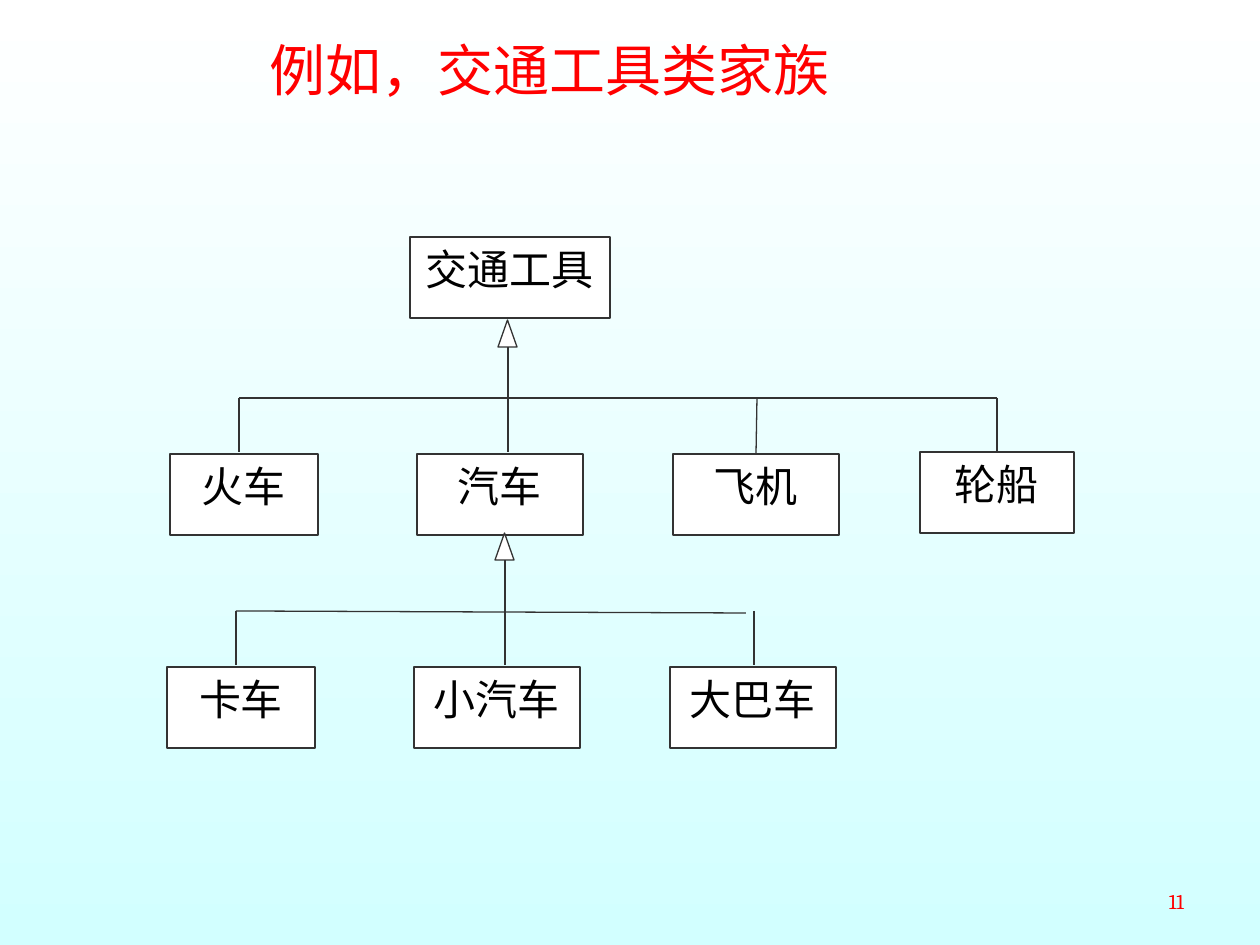
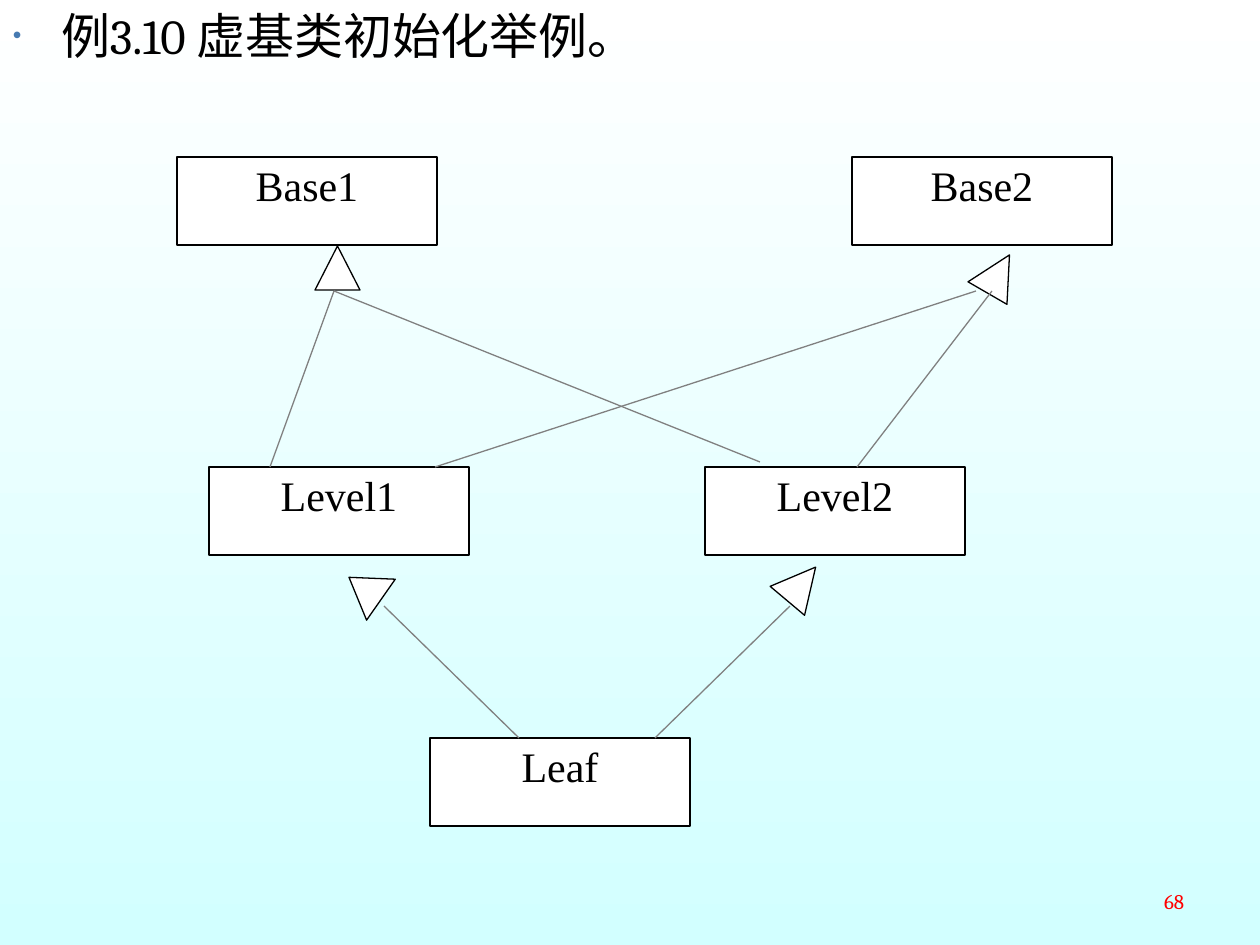
from dataclasses import dataclass

from lxml import etree
from pptx import Presentation
from pptx.dml.color import RGBColor
from pptx.enum.shapes import MSO_CONNECTOR, MSO_SHAPE
from pptx.enum.text import MSO_ANCHOR, PP_ALIGN
from pptx.oxml.ns import qn
from pptx.util import Emu, Pt

RECT = MSO_SHAPE.RECTANGLE
TRIANGLE = MSO_SHAPE.ISOSCELES_TRIANGLE
EXTRACT = MSO_SHAPE.FLOWCHART_EXTRACT
STRAIGHT = MSO_CONNECTOR.STRAIGHT
LEFT, CENTER, RIGHT = PP_ALIGN.LEFT, PP_ALIGN.CENTER, PP_ALIGN.RIGHT
TOP, MIDDLE = MSO_ANCHOR.TOP, MSO_ANCHOR.MIDDLE
TOP_SITE = 0

PX_PER_INCH = 126
WHITE, BLACK, RED = "FFFFFF", "000000", "FF0000"
PALE_CYAN, CHARCOAL, GREY, BULLET_BLUE = "D2FFFF", "333333", "808080", "477AB1"


@dataclass(frozen=True)
class TextStyle:
    font: str
    size: int
    color: str
    align: PP_ALIGN = LEFT
    anchor: MSO_ANCHOR = TOP
    inset_y: int = 6


@dataclass(frozen=True)
class Node:
    text: str
    x: int
    y: int
    w: int
    h: int


@dataclass(frozen=True)
class Arrowhead:
    x: int
    y: int
    w: int = 45
    h: int = 44
    angle: int = 0


@dataclass(frozen=True)
class Branch:
    """A child class with the x of the line that drops to it."""
    text: str
    x: int
    w: int
    drop_x: int
    y: int = 454
    joined: bool = False


@dataclass(frozen=True)
class Family:
    """One tier of child classes, shifted by dx, dy from the first tier."""
    branches: tuple[Branch, ...]
    bar_end: tuple[int, int]
    dx: int = 0
    dy: int = 0


NUMBER = TextStyle("Cambria", 12, RED, RIGHT, MIDDLE)
TITLE = TextStyle("Arial", 32, RED)
EXAMPLE = TextStyle("Cambria", 28, BLACK)
VEHICLE = TextStyle("Calibri", 24, BLACK, CENTER)
CLASS_NAME = TextStyle("Times New Roman", 24, BLACK, CENTER, inset_y=3)

ROOT = Node("交通工具", 410, 237, 200, 81)
BAR_Y, DROP_END, TRUNK_X, TRUNK_TOP = 398, 452, 508, 344
FAMILIES = (
    Family((Branch("火车", 170, 148, 239),
            Branch("汽车", 417, 166, TRUNK_X),
            Branch("飞机", 673, 166, 757, joined=True),
            Branch("轮船", 920, 154, 997, y=452, joined=True)), (997, 398)),
    Family((Branch("卡车", 170, 148, 239),
            Branch("小汽车", 417, 166, TRUNK_X),
            Branch("大巴车", 673, 166, 757)), (749, 400), -3, 213),
)

CLASS_SIZE = (260, 88)
CLASSES = tuple(Node(text, x, y, *CLASS_SIZE) for text, x, y in (
    ("Base1", 177, 157), ("Base2", 852, 157),
    ("Level1", 209, 467), ("Level2", 705, 467), ("Leaf", 430, 738)))
ARROWHEADS = (Arrowhead(315, 246), Arrowhead(976, 252, angle=30),
              Arrowhead(340, 569, 50, 39, 305), Arrowhead(779, 562, angle=40))
INHERITANCE = (
    (334, 291, 270, 467), (334, 291, 760, 462),
    (976, 291, 435, 467), (992, 291, 857, 467),
    (384, 606, 519, 738), (790, 606, 655, 738))


def px(n: int) -> Emu:
    return Emu(round(n * 914400 / PX_PER_INCH))


def rgb(color: str) -> RGBColor:
    return RGBColor.from_string(color)


def write(sp, text: str, style: TextStyle):
    tf = sp.text_frame
    frame_format = {
        "word_wrap": True, "vertical_anchor": style.anchor,
        "margin_left": px(13), "margin_right": px(13),
        "margin_top": px(style.inset_y), "margin_bottom": px(style.inset_y)}
    for name, value in frame_format.items():
        setattr(tf, name, value)
    p = tf.paragraphs[0]
    p.alignment = style.align
    r = p.add_run()
    r.text = text
    for name, value in {"name": style.font, "size": Pt(style.size)}.items():
        setattr(r.font, name, value)
    r.font.color.rgb = rgb(style.color)
    return p


def add_text(s, text: str, style: TextStyle, x: int, y: int, w: int, h: int):
    return write(s.shapes.add_textbox(px(x), px(y), px(w), px(h)), text, style)


def add_outlined(s, kind, x: int, y: int, w: int, h: int, line: str):
    sp = s.shapes.add_shape(kind, px(x), px(y), px(w), px(h))
    sp.shadow.inherit = False
    sp.fill.solid()
    sp.fill.fore_color.rgb = rgb(WHITE)
    sp.line.color.rgb = rgb(line)
    sp.line.width = Pt(0.75)
    return sp


def add_node(s, node: Node, style: TextStyle, line: str):
    sp = add_outlined(s, RECT, node.x, node.y, node.w, node.h, line)
    write(sp, node.text, style)
    return sp


def add_line(s, x1: int, y1: int, x2: int, y2: int, color: str):
    c = s.shapes.add_connector(STRAIGHT, px(x1), px(y1), px(x2), px(y2))
    c.line.color.rgb = rgb(color)
    c.line.width = Pt(0.75)
    etree.SubElement(c._element.spPr, qn("a:effectLst"))
    return c


def add_bullet(p) -> None:
    pPr = p._p.get_or_add_pPr()
    pPr.set("marL", str(px(48)))
    pPr.set("indent", str(-px(48)))
    color = etree.SubElement(pPr, qn("a:buClr"))
    etree.SubElement(color, qn("a:srgbClr"), val=BULLET_BLUE)
    etree.SubElement(pPr, qn("a:buSzPct"), val="50000")
    etree.SubElement(pPr, qn("a:buFont"), typeface="Arial")
    etree.SubElement(pPr, qn("a:buChar"), char="•")


def add_slide(prs, number: int):
    """Add a blank slide with the shared gradient and page number."""
    s = prs.slides.add_slide(prs.slide_layouts[6])
    fill = s.background.fill
    fill.gradient()
    fill.gradient_angle = 270
    for stop, color in zip(fill.gradient_stops, (WHITE, PALE_CYAN)):
        stop.color.rgb = rgb(color)
    add_text(s, str(number), NUMBER, 903, 876, 294, 50)
    return s


def add_family(s, family: Family) -> None:
    dx, dy = family.dx, family.dy
    bar_y, trunk_x = BAR_Y + dy, TRUNK_X + dx
    end_x, end_y = family.bar_end
    add_line(s, family.branches[0].drop_x + dx, bar_y,
             end_x + dx, end_y + dy, CHARCOAL)
    add_line(s, trunk_x, TRUNK_TOP + dy, trunk_x, bar_y, CHARCOAL)
    add_outlined(s, TRIANGLE, 498 + dx, 320 + dy, 19, 27, CHARCOAL)
    for b in family.branches:
        node = Node(b.text, b.x + dx, b.y + dy, b.w, ROOT.h)
        sp = add_node(s, node, VEHICLE, CHARCOAL)
        x = b.drop_x + dx
        drop = add_line(s, x, bar_y, x, DROP_END + dy, CHARCOAL)
        if b.joined:
            drop.end_connect(sp, TOP_SITE)


def build_vehicle_slide(prs) -> None:
    s = add_slide(prs, 11)
    add_node(s, ROOT, VEHICLE, CHARCOAL)
    for family in FAMILIES:
        add_family(s, family)
    add_text(s, "例如，交通工具类家族", TITLE, 256, 29, 738, 81)


def build_virtual_base_slide(prs) -> None:
    s = add_slide(prs, 68)
    add_bullet(add_text(s, "例3.10 虚基类初始化举例。", EXAMPLE, 0, 0, 1231, 88))
    for node in CLASSES:
        add_node(s, node, CLASS_NAME, BLACK)
    for head in ARROWHEADS:
        sp = add_outlined(s, EXTRACT, head.x, head.y, head.w, head.h, BLACK)
        sp.rotation = head.angle
    for ends in INHERITANCE:
        add_line(s, *ends, GREY)


def main() -> None:
    prs = Presentation()
    prs.slide_width, prs.slide_height = px(1260), px(945)
    build_vehicle_slide(prs)
    build_virtual_base_slide(prs)
    prs.save("out.pptx")


if __name__ == "__main__":
    main()
